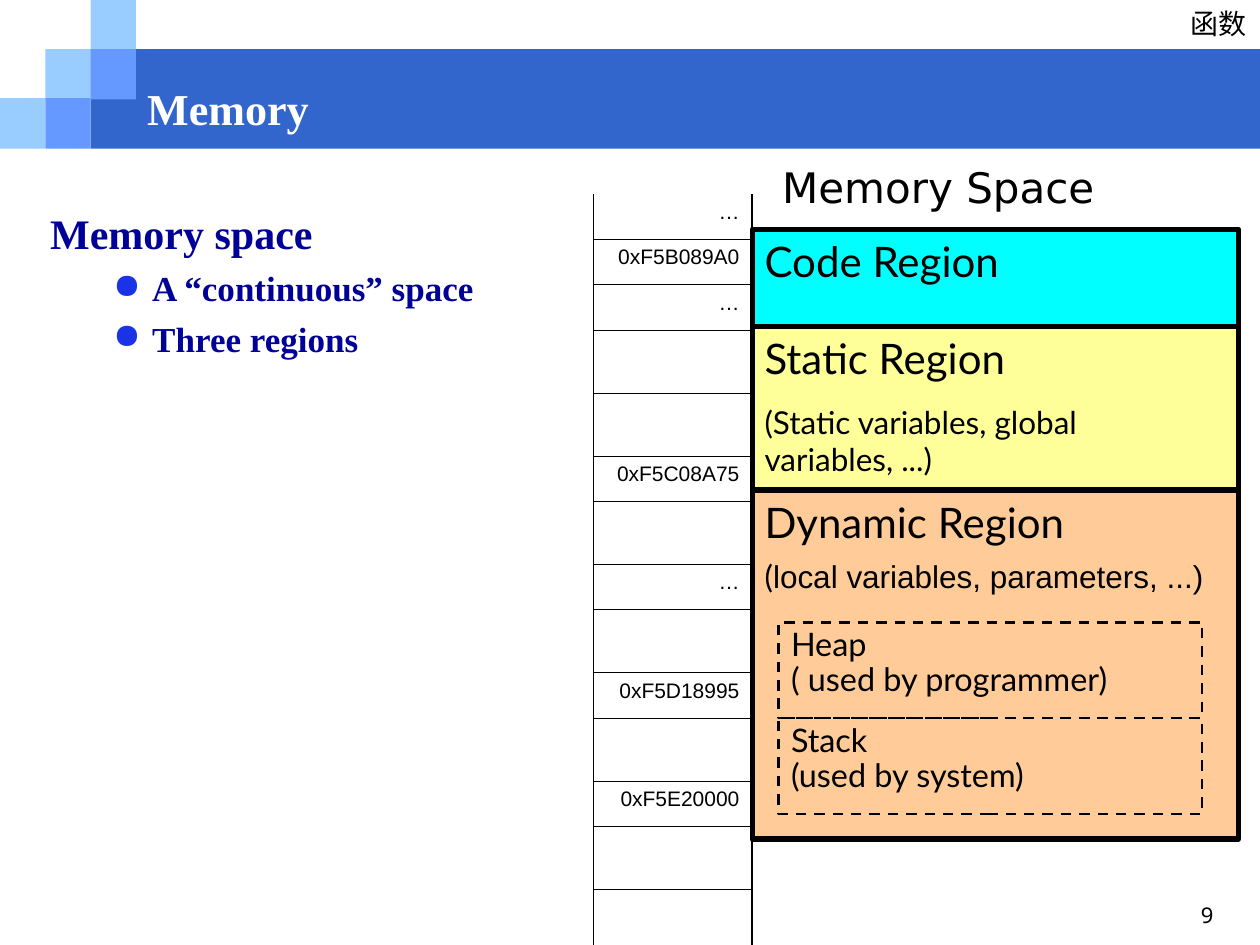
import pptx
import pptx.util
import pptx.dml.color
import pptx.enum.dml
import pptx.enum.shapes
import pptx.enum.text
import pptx.oxml.ns
from lxml import etree

COLORS = {
    "band": "3366CC", "pale": "99CCFF", "mid": "6699FF", "heading": "000099",
    "bullet": "1B33E7", "code": "00FFFF", "static": "FFFF99",
    "dynamic": "FFCC99", "black": "000000", "white": "FFFFFF",
}
COLUMN, ROW = 0.36, 0.39
SHORT_ROW, TALL_ROW, LAST_ROW = 0.36, 0.5, 0.44
ADDRESSES = ["…", "0xF5B089A0", "…", "", "", "0xF5C08A75", "", "…", "",
             "0xF5D18995", "", "0xF5E20000", "", ""]
ALIGN = pptx.enum.text.PP_ALIGN
ANCHOR = pptx.enum.text.MSO_ANCHOR


def rgb(name):
    return pptx.dml.color.RGBColor.from_string(COLORS[name])


def inches(*lengths):
    return [pptx.util.Inches(length) for length in lengths]


def sub(parent, tag, **attributes):
    return etree.SubElement(parent, pptx.oxml.ns.qn(tag), **attributes)


def add_bullet(paragraph):
    properties = paragraph._p.get_or_add_pPr()
    properties.set("marL", str(pptx.util.Inches(0.81)))
    properties.set("indent", str(pptx.util.Inches(-0.31)))
    sub(sub(properties, "a:buClr"), "a:srgbClr", val=COLORS["bullet"])
    sub(properties, "a:buChar", char="●")


def write(frame, text, size=18, font="Lato", color="black", bold=False,
          align=ALIGN.LEFT, before=0, spacing=None, bullet=False, same_line=False):
    paragraph = frame.paragraphs[-1]
    if paragraph.runs and not same_line:
        paragraph = frame.add_paragraph()
    if bullet:
        paragraph.level = 1
        add_bullet(paragraph)
    if not same_line:
        paragraph.alignment = align
        paragraph.space_before = pptx.util.Pt(before)
        if spacing:
            paragraph.line_spacing = spacing
    run = paragraph.add_run()
    run.text = text
    run.font.size = pptx.util.Pt(size)
    run.font.name = font
    run.font.bold = bold
    run.font.color.rgb = rgb(color)
    sub(run._r.get_or_add_rPr(), "a:ea", typeface=font)


def add_box(slide, left, top, width, height, fill=None, line=0, dashed=False):
    box = slide.shapes.add_shape(pptx.enum.shapes.MSO_SHAPE.RECTANGLE,
                                 *inches(left, top, width, height))
    box.shadow.inherit = False
    if fill:
        box.fill.solid()
        box.fill.fore_color.rgb = rgb(fill)
    else:
        box.fill.background()
    if line:
        box.line.color.rgb = rgb("black")
        box.line.width = pptx.util.Pt(line)
    else:
        box.line.fill.background()
    if dashed:
        box.line.dash_style = pptx.enum.dml.MSO_LINE.DASH
    box.text_frame.vertical_anchor = ANCHOR.TOP
    return box.text_frame


def add_text(slide, left, top, width, height, anchor=ANCHOR.TOP):
    frame = slide.shapes.add_textbox(*inches(left, top, width, height)).text_frame
    frame.word_wrap = True
    frame.vertical_anchor = anchor
    return frame


def set_border(cell, side, points):
    border = sub(cell._tc.get_or_add_tcPr(), "a:" + side,
                 w=str(pptx.util.Pt(points)))
    if points:
        sub(sub(border, "a:solidFill"), "a:srgbClr", val=COLORS["black"])
    else:
        sub(border, "a:noFill")


def add_addresses(slide):
    last = len(ADDRESSES) - 1
    heights = [SHORT_ROW if address else TALL_ROW for address in ADDRESSES]
    heights[last] = LAST_ROW
    table = slide.shapes.add_table(
        len(ADDRESSES), 1, *inches(4.71, 1.54, 1.26, sum(heights))).table
    table.first_row = table.horz_banding = False
    for index, (address, height) in enumerate(zip(ADDRESSES, heights)):
        table.rows[index].height = pptx.util.Inches(height)
        cell = table.cell(index, 0)
        set_border(cell, "lnL", 1.08)
        set_border(cell, "lnR", 1.08)
        set_border(cell, "lnT", 0.45 if index else 0)
        set_border(cell, "lnB", 0.45 if index < last else 0)
        cell.fill.background()
        if address:
            write(cell.text_frame, address, size=12, font="Arial", align=ALIGN.RIGHT)


def add_header(slide):
    add_box(slide, 2 * COLUMN, ROW, 10 - 2 * COLUMN, 0.79, fill="band")
    for column, row, fill in [(0, 2, "pale"), (1, 1, "pale"), (2, 0, "pale"),
                              (2, 1, "mid"), (1, 2, "mid")]:
        add_box(slide, column * COLUMN, row * ROW, COLUMN, 0.4, fill=fill)
    chapter = add_text(slide, 9.15, 0, 0.84, 0.37)
    write(chapter, "函数", size=16, font="Noto Sans CJK SC", align=ALIGN.RIGHT)
    page = add_text(slide, 9.43, 7.15, 0.57, 0.35)
    write(page, "9", size=12.4, font="Noto Sans Mono", spacing=0.8)
    title = add_text(slide, 1.07, 0.63, 8.08, 0.53, anchor=ANCHOR.MIDDLE)
    write(title, "Memory", size=25.2, font="Times New Roman", color="white",
          bold=True, spacing=0.8)


def add_outline(slide):
    outline = add_text(slide, 0.3, 1.6, 3.91, 5.86)
    style = dict(font="Times New Roman", color="heading", bold=True)
    write(outline, "Memory space", size=24, **style)
    for point in ["A “continuous” space", "Three regions"]:
        write(outline, point, size=20, before=5, bullet=True, **style)


def add_regions(slide):
    regions = {}
    for name, top, height in [("code", 1.82, 0.79), ("static", 2.59, 1.3),
                              ("dynamic", 3.89, 2.77)]:
        regions[name] = add_box(slide, 5.97, top, 3.86, height, fill=name, line=3)
        write(regions[name], name.title() + " Region", size=24)
    write(regions["static"], "(Static variables, global variables, ...)", before=11.2)
    write(regions["dynamic"], "(", before=6)
    write(regions["dynamic"], "local variables, parameters, ...)", font="Arial",
          same_line=True)

    heading = add_text(slide, 6.11, 1.15, 3.36, 0.67, anchor=ANCHOR.MIDDLE)
    write(heading, "Memory Space", size=24, font="DejaVu Sans")

    areas = [("Heap", "( used by programmer)"), ("Stack", "(used by system)")]
    for index, lines in enumerate(areas):
        area = add_box(slide, 6.18, 4.94 + index * 0.76, 3.36, 0.76,
                       line=1.5, dashed=True)
        for line in lines:
            write(area, line, size=18.5, spacing=0.9)


def main():
    presentation = pptx.Presentation()
    presentation.slide_width, presentation.slide_height = inches(10, 7.5)
    slide = presentation.slides.add_slide(presentation.slide_layouts[6])
    add_header(slide)
    add_outline(slide)
    add_regions(slide)
    add_addresses(slide)
    presentation.save("out.pptx")


if __name__ == "__main__":
    main()
